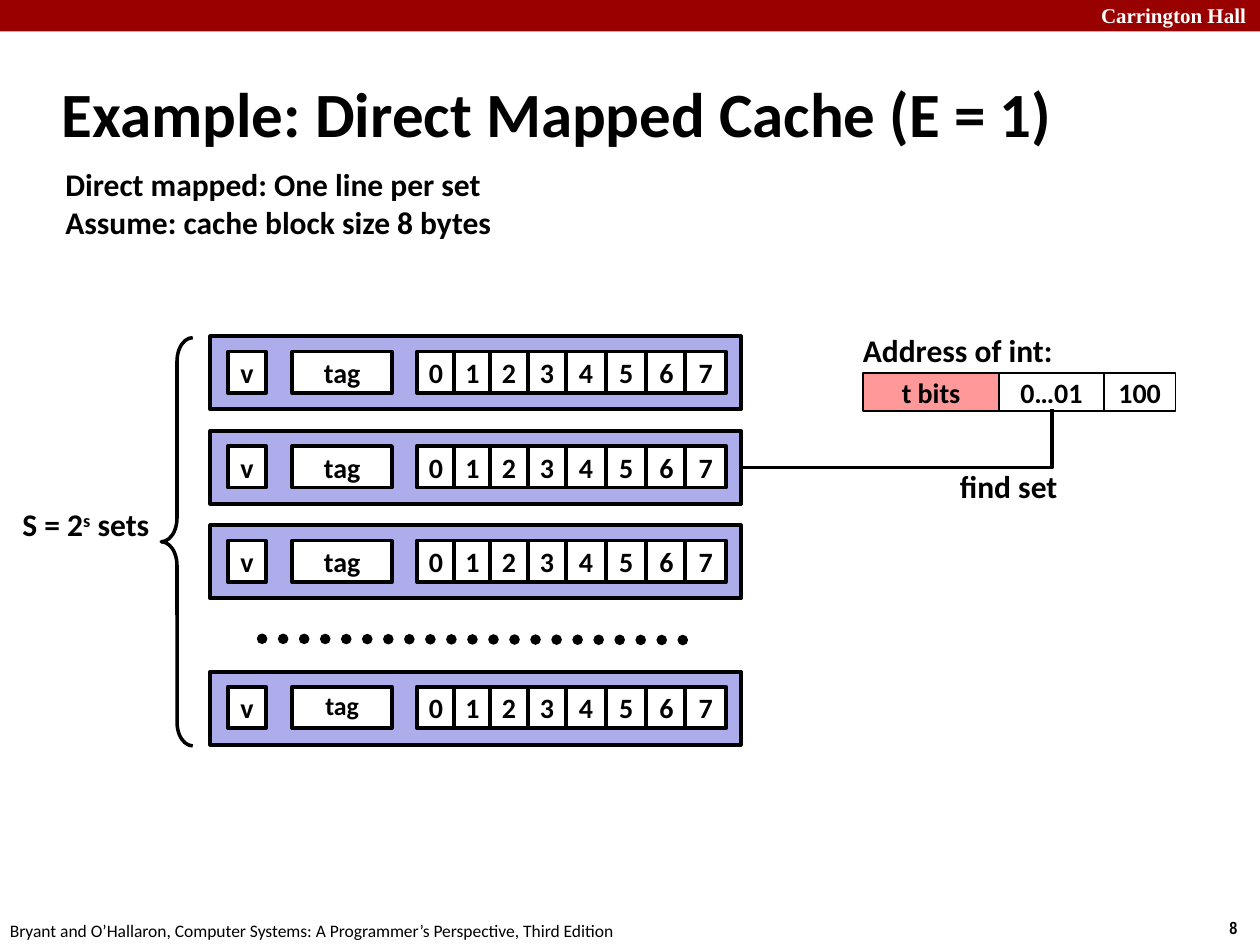
"""Builds a slide that explains a direct mapped cache."""
from lxml import etree
from pptx import Presentation
from pptx.dml.color import RGBColor
from pptx.enum.dml import MSO_LINE
from pptx.enum.shapes import MSO_CONNECTOR, MSO_SHAPE
from pptx.enum.text import MSO_ANCHOR, MSO_AUTO_SIZE, PP_ALIGN
from pptx.oxml.ns import qn
from pptx.util import Inches, Pt

BLACK, WHITE, RED, PINK, LILAC = "000000", "FFFFFF", "990000", "FF9999", "ADADEB"


def color(value):
    return RGBColor.from_string(value)


class SlideBuilder:
    """Holds the text style and the current slide."""

    font = "Calibri"

    def __init__(self, slide):
        self.slide = slide

    def style(self, run, size, bold=True, ink=BLACK, font=None):
        run.font.name = font or self.font
        run.font.size = Pt(size)
        run.font.bold = bold
        run.font.color.rgb = color(ink)

    def title(self, text, box):
        title = self.slide.shapes.title
        title.left, title.top, title.width, title.height = map(Inches, box)
        frame = title.text_frame
        frame.auto_size = MSO_AUTO_SIZE.NONE
        frame.vertical_anchor = MSO_ANCHOR.MIDDLE
        frame.paragraphs[0].alignment = PP_ALIGN.LEFT
        run = frame.paragraphs[0].add_run()
        run.text = text
        self.style(run, 36)

    def text(self, lines, box, size=18, wrap=False, **style):
        """Each line is a list of runs; a run starting with ^ is raised."""
        frame = self.slide.shapes.add_textbox(*map(Inches, box)).text_frame
        frame.word_wrap = wrap
        frame.auto_size = MSO_AUTO_SIZE.SHAPE_TO_FIT_TEXT
        for index, line in enumerate(lines):
            paragraph = frame.add_paragraph() if index else frame.paragraphs[0]
            for part in line:
                run = paragraph.add_run()
                run.text = part.lstrip("^")
                self.style(run, size, **style)
                if part.startswith("^"):
                    run.font._element.set("baseline", "30000")

    def box(self, box, fill=None, width=None, text="", size=16, spacing=None,
            kind=MSO_SHAPE.RECTANGLE):
        shape = self.slide.shapes.add_shape(kind, *map(Inches, box))
        shape.shadow.inherit = False
        if fill:
            shape.fill.solid()
            shape.fill.fore_color.rgb = color(fill)
        else:
            shape.fill.background()
        if width:
            shape.line.color.rgb = color(BLACK)
            shape.line.width = Pt(width)
        else:
            shape.line.fill.background()
        if text:
            frame = shape.text_frame
            frame.word_wrap = False
            frame.vertical_anchor = MSO_ANCHOR.MIDDLE
            frame.margin_left = frame.margin_right = 0
            paragraph = frame.paragraphs[0]
            paragraph.alignment = PP_ALIGN.CENTER
            paragraph.line_spacing = spacing
            run = paragraph.add_run()
            run.text = text
            self.style(run, size)
        return shape

    def line(self, start, end, width, kind=MSO_CONNECTOR.STRAIGHT):
        line = self.slide.shapes.add_connector(kind, *map(Inches, start + end))
        line.line.color.rgb = color(BLACK)
        line.line.width = Pt(width)
        etree.SubElement(line._element.spPr, qn("a:effectLst"))
        return line

    def dots(self, start, end, width):
        line = self.line(start, end, width).line
        line.dash_style = MSO_LINE.ROUND_DOT
        line._get_or_add_ln().set("cap", "rnd")

    def corner(self, start, end, width):
        """Draws a line that goes down from start, then left to end."""
        across, down = start[0] - end[0], end[1] - start[1]
        mid_x, mid_y = (start[0] + end[0]) / 2, (start[1] + end[1]) / 2
        line = self.line((mid_x - down / 2, mid_y - across / 2),
                         (mid_x + down / 2, mid_y + across / 2),
                         width, MSO_CONNECTOR.ELBOW)
        properties = line._element.spPr
        properties.find(qn("a:xfrm")).set("rot", "5400000")
        properties.find(qn("a:prstGeom")).set("prst", "bentConnector2")

    def cache_line(self, top, tag_size=16, tag_spacing=None):
        self.box((1.67, top, 4.21, 0.58), LILAC, 2.25)
        cells = [("v", 1.81, 0.3), ("tag", 2.32, 0.79)]
        lefts = (3.31, 3.6, 3.89, 4.19, 4.49, 4.81, 5.13, 5.44)
        cells += [(str(i), left, 0.3 if i < 4 else 0.32)
                  for i, left in enumerate(lefts)]
        for label, left, width in cells:
            is_tag = label == "tag"
            self.box((left, top + 0.12, width, 0.33), WHITE, 2.25, label,
                     tag_size if is_tag else 16, tag_spacing if is_tag else None)


prs = Presentation()
prs.slide_width, prs.slide_height = Inches(10), Inches(7.5)
page = SlideBuilder(prs.slides.add_slide(prs.slide_layouts[5]))

page.box((0, 0, 10, 0.25), RED)
page.text([["Carrington Hall"]], (8.64, -0.03, 1.43, 0.3), 12, wrap=True,
          ink=WHITE, font="Times New Roman")
page.text([["8"]], (9.66, 7.23, 0.34, 0.27), 10, font="Arial Narrow")
page.text([["Bryant and O’Hallaron, Computer Systems: "
            "A Programmer’s Perspective, Third Edition"]],
          (-0.02, 7.25, 5.08, 0.27), 10, bold=False)
page.title("Example: Direct Mapped Cache (E = 1)", (0.39, 0.48, 8.3, 0.83))
page.text([["Direct mapped: One line per set"],
           ["Assume: cache block size 8 bytes"]], (0.42, 1.26, 3.61, 0.71))

brace = page.box((1.28, 2.68, 0.25, 3.24), width=2, kind=MSO_SHAPE.LEFT_BRACE)
brace.adjustments[0] = 0.75
page.text([["S = 2", "^s", " sets"]], (0.08, 3.96, 1.23, 0.4))
for row in range(3):
    page.cache_line(2.67 + 0.75 * row)
page.dots((2.08, 5.07), (5.5, 5.08), 6)
page.cache_line(5.33, 14.8, 0.9)

page.text([["Address of int:"]], (6.75, 2.58, 1.72, 0.4))
left = 6.85
for label, width, fill in (("t bits", 1.08, PINK), ("0…01", 0.83, WHITE),
                           ("100", 0.57, WHITE)):
    page.box((left, 2.96, width, 0.3), fill, 1, label)
    left += width
page.corner((8.35, 3.25), (5.88, 3.71), 2)
page.text([["find set"]], (7.52, 3.66, 0.98, 0.4))

prs.save("out.pptx")
